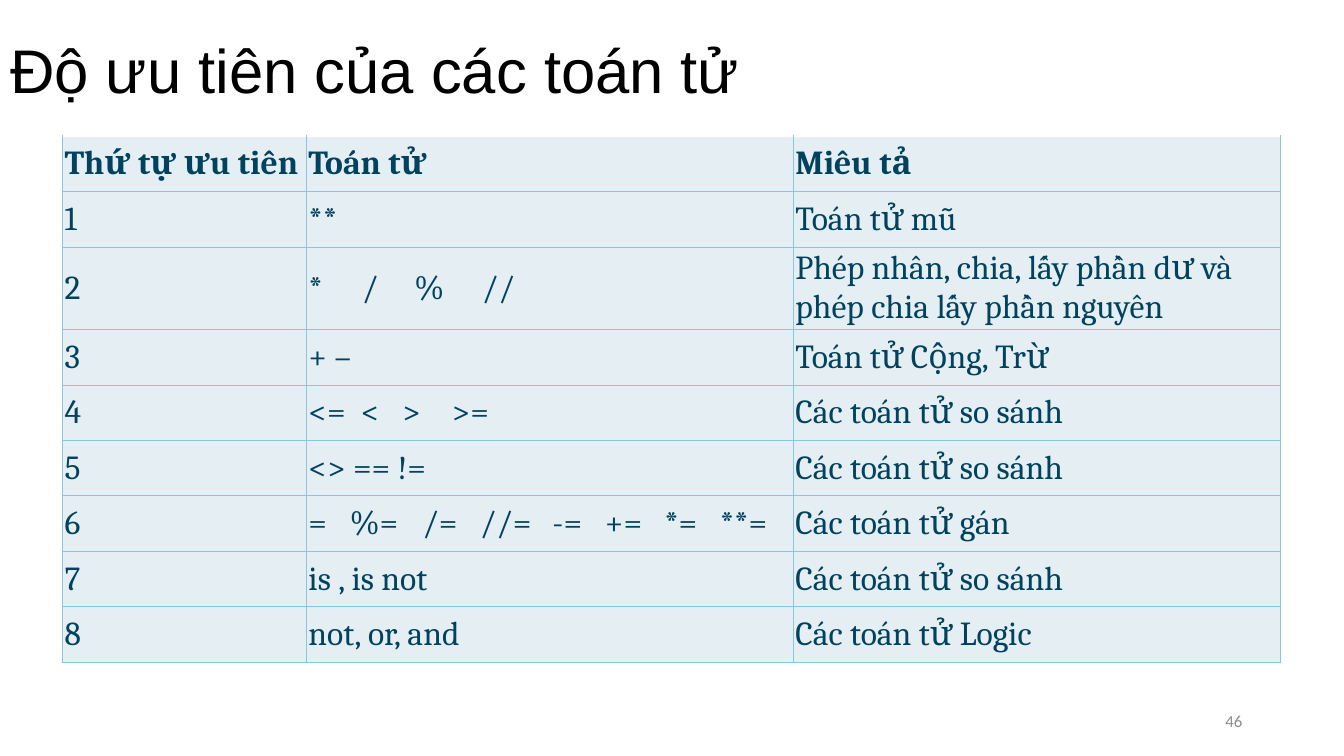
from dataclasses import dataclass

from lxml import etree
from pptx import Presentation
from pptx import util as u
from pptx.dml.color import RGBColor
from pptx.enum import text
from pptx.oxml import ns

COLORS = {
    "title": "000000",
    "number": "8C8C8C",
    "ink": "01435F",
    "cell": "E4EEF3",
    "border": "88C7E2",
}
COLUMN_WIDTHS = (2.42, 4.83, 4.83)
ROW_HEIGHT = 0.55


@dataclass
class Row:
    rank: str
    operators: str
    meaning: str
    tabs: tuple[float, ...] = ()  # tab stops of the operators, in inches


HEADER = Row("Thứ tự ưu tiên", "Toán tử", "Miêu tả")
LEVELS = [
    Row("1", "**", "Toán tử mũ"),
    Row("2", "*\t/\t%\t//", "Phép nhân, chia, lấy phần dư và phép chia lấy phần nguyên",
        (0.53, 1.05, 1.72)),
    Row("3", "+ –", "Toán tử Cộng, Trừ"),
    Row("4", "<=\t<\t>\t>=", "Các toán tử so sánh", (0.52, 0.93, 1.42)),
    Row("5", "<> == !=", "Các toán tử so sánh"),
    Row("6", "=\t%=\t/=\t//=\t-=\t+=\t*=\t**=", "Các toán tử gán",
        (0.41, 1.13, 1.7, 2.42, 2.94, 3.53, 4.08)),
    Row("7", "is , is not", "Các toán tử so sánh"),
    Row("8", "not, or, and", "Các toán tử Logic"),
]


def format_runs(p, font: str, size: float, color: str, bold: bool = False) -> None:
    for r in p.runs:
        r.font.name = font
        r.font.size = u.Pt(size)
        r.font.bold = bold
        r.font.color.rgb = RGBColor.from_string(COLORS[color])


def add_tabs(p, stops: tuple[float, ...]) -> None:
    tab_list = etree.SubElement(p._p.get_or_add_pPr(), ns.qn("a:tabLst"))
    for stop in stops:
        etree.SubElement(tab_list, ns.qn("a:tab"), pos=str(u.Inches(stop)), algn="l")


def add_borders(cell, sides: str) -> None:
    for side in sides:
        ln = etree.SubElement(cell._tc.get_or_add_tcPr(), ns.qn(f"a:ln{side}"),
                              w=str(u.Pt(0.75)))
        fill = etree.SubElement(ln, ns.qn("a:solidFill"))
        etree.SubElement(fill, ns.qn("a:srgbClr"), val=COLORS["border"])


def fill_cell(cell, content: str, header: bool, tabs: tuple[float, ...] = ()) -> None:
    add_borders(cell, "LRB" if header else "LRTB")
    cell.fill.solid()
    cell.fill.fore_color.rgb = RGBColor.from_string(COLORS["cell"])
    cell.vertical_anchor = text.MSO_ANCHOR.MIDDLE
    cell.margin_left = cell.margin_right = u.Inches(0.02)
    cell.margin_top = cell.margin_bottom = u.Inches(0.01)
    p = cell.text_frame.paragraphs[0]
    p.text = content
    format_runs(p, "Cambria", 24, "ink", header)
    if tabs:
        add_tabs(p, tabs)


def add_title(s, content: str) -> None:
    sp = s.shapes.title
    sp.left, sp.top = u.Inches(0), u.Inches(0)
    sp.width, sp.height = u.Inches(13.33), u.Inches(1.45)
    tf = sp.text_frame
    tf.text = content
    tf.vertical_anchor = text.MSO_ANCHOR.MIDDLE
    p = tf.paragraphs[0]
    p.alignment = text.PP_ALIGN.LEFT
    p.line_spacing = 0.9
    format_runs(p, "Arial", 44, "title")


def add_slide_number(s, number: str) -> None:
    sp = s.shapes.add_textbox(u.Inches(9.42), u.Inches(6.95), u.Inches(3), u.Inches(0.4))
    tf = sp.text_frame
    tf.text = number
    tf.word_wrap = True
    tf.vertical_anchor = text.MSO_ANCHOR.MIDDLE
    p = tf.paragraphs[0]
    p.alignment = text.PP_ALIGN.RIGHT
    format_runs(p, "Calibri", 12, "number")


def add_precedence_table(s, rows: list[Row]) -> None:
    table = s.shapes.add_table(
        len(rows), len(COLUMN_WIDTHS), u.Inches(0.62), u.Inches(1.35),
        u.Inches(sum(COLUMN_WIDTHS)), u.Inches(ROW_HEIGHT * len(rows))).table
    table.first_row = table.horz_banding = False
    for column, width in zip(table.columns, COLUMN_WIDTHS):
        column.width = u.Inches(width)
    for i, row in enumerate(rows):
        table.rows[i].height = u.Inches(ROW_HEIGHT)
        header = i == 0
        fill_cell(table.cell(i, 0), row.rank, header)
        fill_cell(table.cell(i, 1), row.operators, header, row.tabs)
        fill_cell(table.cell(i, 2), row.meaning, header)


def main() -> None:
    prs = Presentation()
    prs.slide_width, prs.slide_height = u.Inches(13.33), u.Inches(7.5)
    s = prs.slides.add_slide(prs.slide_layouts[5])  # title only
    add_title(s, "Độ ưu tiên của các toán tử")
    add_slide_number(s, "46")
    add_precedence_table(s, [HEADER, *LEVELS])
    prs.save("out.pptx")


if __name__ == "__main__":
    main()
